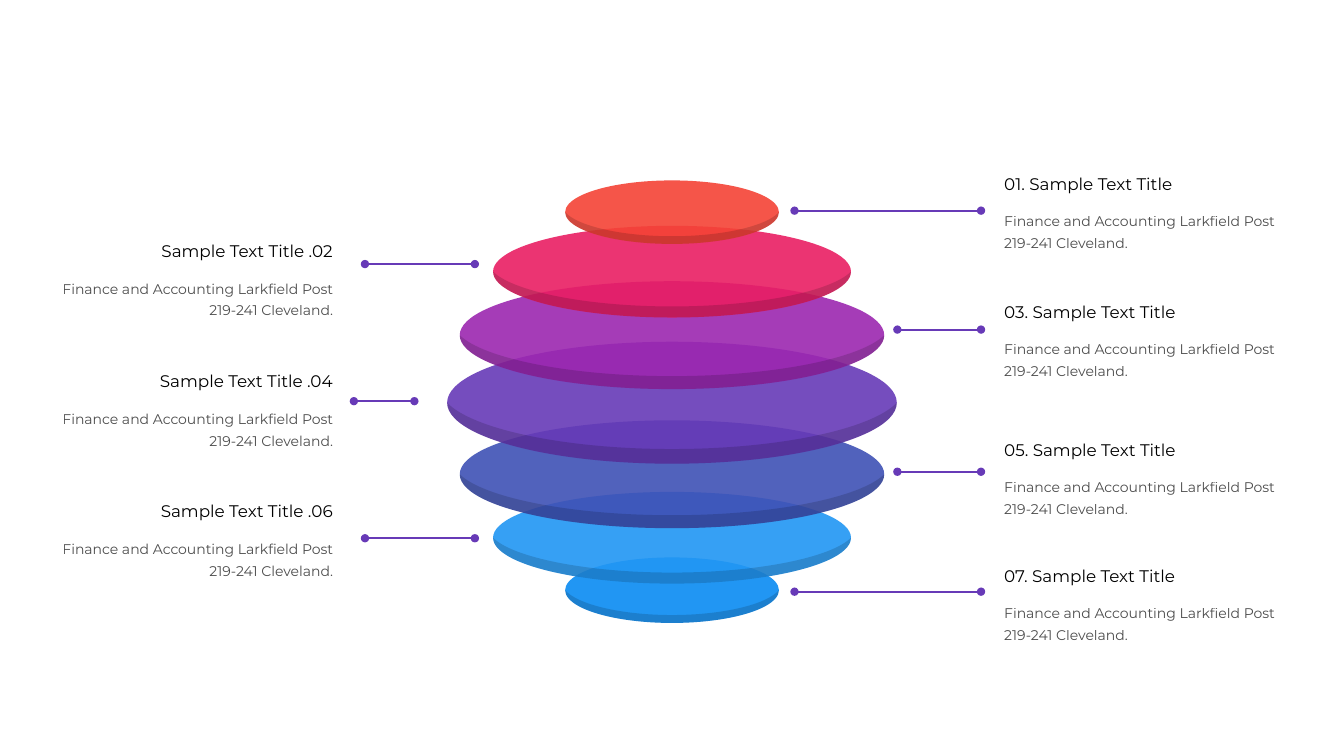
"""Build a slide with a sphere of seven stacked discs and numbered callouts."""
from lxml import etree
from pptx import Presentation
from pptx.dml.color import RGBColor
from pptx.enum.shapes import MSO_CONNECTOR, MSO_SHAPE
from pptx.enum.text import MSO_AUTO_SIZE, PP_ALIGN
from pptx.oxml.ns import qn
from pptx.util import Inches, Pt

BLACK = RGBColor(0x00, 0x00, 0x00)
RED = RGBColor(0xF4, 0x43, 0x36)
PINK = RGBColor(0xE9, 0x1E, 0x63)
PURPLE = RGBColor(0x9C, 0x27, 0xB0)
VIOLET = RGBColor(0x67, 0x3A, 0xB7)
INDIGO = RGBColor(0x3F, 0x51, 0xB5)
BLUE = RGBColor(0x21, 0x96, 0xF3)

FONT = "Montserrat"
HEADING = "Sample Text Title"
BODY = "Finance and Accounting Larkfield Post 219-241 Cleveland."

DISCS = [
    (5.53, 2.12, 0.65, BLUE, 100),
    (4.88, 3.55, 0.91, BLUE, 90),
    (4.17, 4.21, 1.07, INDIGO, 90),
    (3.39, 4.46, 1.21, VIOLET, 90),
    (2.79, 4.21, 1.07, PURPLE, 90),
    (2.24, 3.55, 0.91, PINK, 90),
    (1.79, 2.12, 0.63, RED, 90),
]
RIGHT_CALLOUTS = {
    "01.": (1.67, 7.88, 9.73, 2.09),
    "03.": (2.94, 8.9, 9.73, 3.27),
    "05.": (4.31, 8.9, 9.73, 4.68),
    "07.": (5.56, 7.88, 9.73, 5.87),
}
LEFT_CALLOUTS = {
    ".02": (2.34, 3.62, 4.71, 2.62),
    ".04": (3.63, 3.51, 4.11, 3.98),
    ".06": (4.92, 3.62, 4.71, 5.34),
}

SLIDE_WIDTH, SLIDE_HEIGHT = 13.33, 7.5
CENTRE_X = SLIDE_WIDTH / 2
RIGHT_TEXT_X, LEFT_TEXT_X, TEXT_WIDTH = 9.96, 0.51, 2.89
BODY_OFFSET = 0.34
RIM_HALF = [(0, 0.76), (0.48, 0.76), (0.89, 0.43), (1, 0),
            (1, 0.55), (0.55, 1), (0, 1)]
RIM = RIM_HALF + [(-x, y) for x, y in reversed(RIM_HALF[:-1])]


def set_opacity(fill_owner, percent):
    """Set the opacity of the solid colour found below an element."""
    colour = fill_owner.find(".//" + qn("a:srgbClr"))
    etree.SubElement(colour, qn("a:alpha"), val=str(percent * 1000))


def paint(shape, colour, opacity):
    """Give a shape a flat fill without line or shadow."""
    shape.shadow.inherit = False
    shape.fill.solid()
    shape.fill.fore_color.rgb = colour
    shape.line.fill.background()
    if opacity < 100:
        set_opacity(shape._element.spPr, opacity)


def bend(shape):
    """Turn each three line segments of a freeform into one Bézier curve."""
    segments = list(shape._element.iter(qn("a:lnTo")))
    for first in range(0, len(segments), 3):
        curve = etree.Element(qn("a:cubicBezTo"))
        segments[first].addprevious(curve)
        for segment in segments[first:first + 3]:
            curve.append(segment[0])
            segment.getparent().remove(segment)


def add_disc(page, top, width, height, colour, opacity):
    """Add an ellipse with a darker crescent along its lower edge."""
    group = page.shapes.add_group_shape()
    disc = group.shapes.add_shape(
        MSO_SHAPE.OVAL, Inches(CENTRE_X - width / 2), Inches(top),
        Inches(width), Inches(height))
    paint(disc, colour, opacity)

    points = [(Inches(CENTRE_X + x * width / 2), Inches(top + height / 2 * (1 + y)))
              for x, y in RIM]
    builder = group.shapes.build_freeform(*points[0])
    builder.add_line_segments(points[1:], close=True)
    rim = builder.convert_to_shape()
    bend(rim)
    paint(rim, BLACK, 15)


def add_text(page, text, left, top, height, size, align, spacing=None, opacity=100):
    """Add a one-paragraph text box."""
    box = page.shapes.add_textbox(
        Inches(left), Inches(top), Inches(TEXT_WIDTH), Inches(height))
    frame = box.text_frame
    frame.word_wrap = True
    frame.auto_size = MSO_AUTO_SIZE.SHAPE_TO_FIT_TEXT
    frame.margin_left = 0
    para = frame.paragraphs[0]
    para.alignment = align
    para.line_spacing = spacing
    span = para.add_run()
    span.text = text
    span.font.name = FONT
    span.font.size = Pt(size)
    span.font.color.rgb = BLACK
    if opacity < 100:
        set_opacity(span._r, opacity)


def add_leader(page, start, end, y):
    """Add a horizontal line with a dot at each end."""
    leader = page.shapes.add_connector(
        MSO_CONNECTOR.STRAIGHT, Inches(start), Inches(y), Inches(end), Inches(y))
    leader.line.color.rgb = VIOLET
    leader.line.width = Pt(1.5)
    outline = leader.line._get_or_add_ln()
    for tag in ("a:headEnd", "a:tailEnd"):
        etree.SubElement(outline, qn(tag), type="oval")
    etree.SubElement(leader._element.spPr, qn("a:effectLst"))


def add_callout(page, heading, left, align, top, start, end, y):
    """Add a heading, its description and its leader line."""
    add_text(page, heading, left, top, 0.3, 12, align)
    add_text(page, BODY, left, top + BODY_OFFSET, 0.74, 10, align, 1.3, 70)
    add_leader(page, start, end, y)


def main():
    """Create the deck and save it."""
    deck = Presentation()
    deck.slide_width, deck.slide_height = Inches(SLIDE_WIDTH), Inches(SLIDE_HEIGHT)
    page = deck.slides.add_slide(deck.slide_layouts[6])
    for disc in DISCS:
        add_disc(page, *disc)
    for number, place in RIGHT_CALLOUTS.items():
        add_callout(page, f"{number} {HEADING}", RIGHT_TEXT_X, PP_ALIGN.LEFT, *place)
    for number, place in LEFT_CALLOUTS.items():
        add_callout(page, f"{HEADING} {number}", LEFT_TEXT_X, PP_ALIGN.RIGHT, *place)
    deck.save("out.pptx")


if __name__ == "__main__":
    main()
